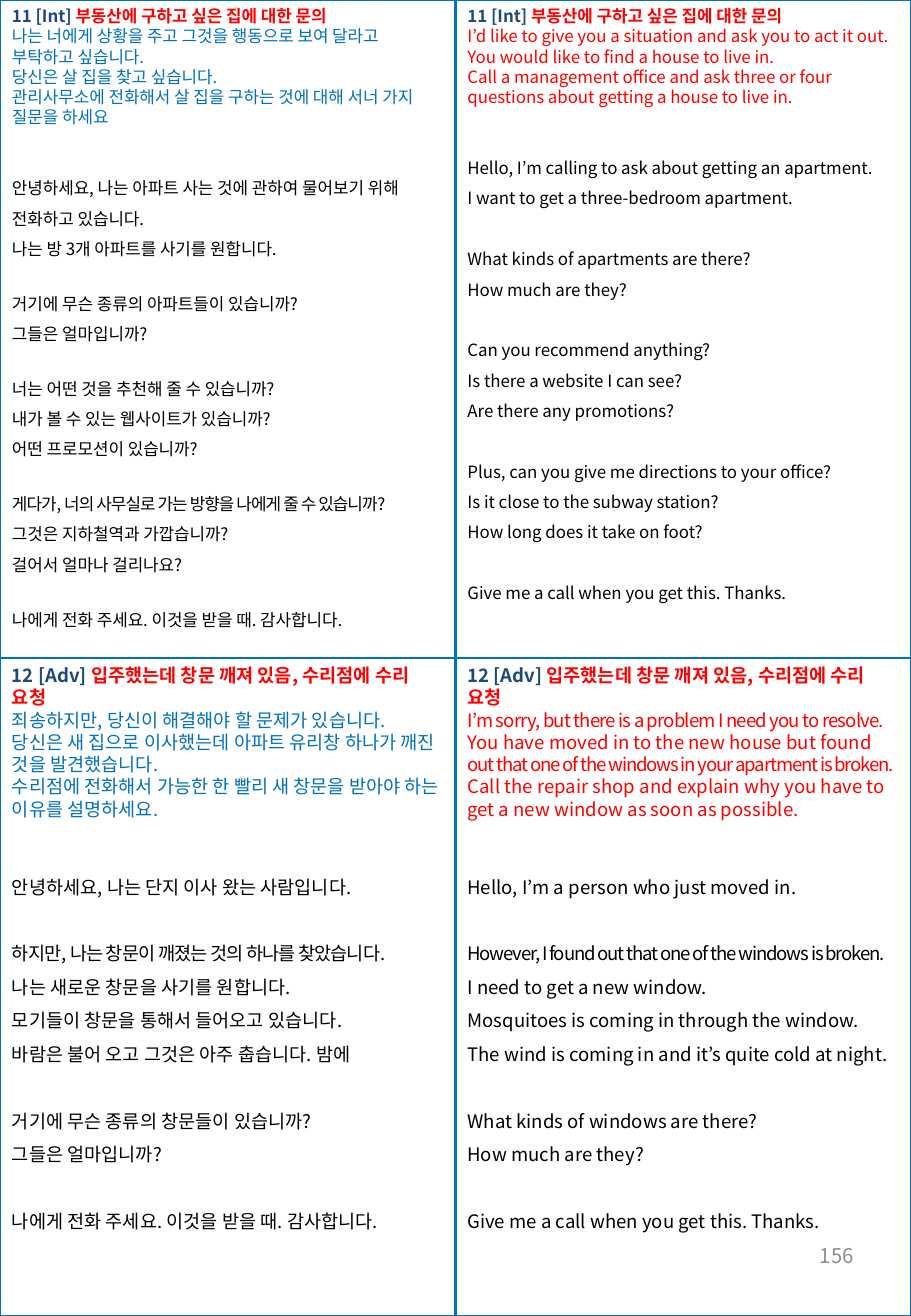
from lxml import etree
from pptx import Presentation
from pptx.dml.color import RGBColor
from pptx.enum.shapes import MSO_CONNECTOR, MSO_SHAPE
from pptx.enum.text import MSO_ANCHOR, PP_ALIGN
from pptx.oxml.ns import qn
from pptx.util import Pt

STRAIGHT = MSO_CONNECTOR.STRAIGHT
RECTANGLE = MSO_SHAPE.RECTANGLE
MIDDLE = MSO_ANCHOR.MIDDLE
RIGHT = PP_ALIGN.RIGHT

FONT = "Noto Sans CJK KR"
NAVY, RED, BLUE, BLACK, GREY = "1F497D", "FF0000", "0070C0", "000000", "8C8C8C"
WIDTH, HEIGHT = 540, 780
SINGLE, OPEN = 1.2, 1.8  # line pitch as a multiple of the font size

INTERMEDIATE = ("11 [Int] ", "부동산에 구하고 싶은 집에 대한 문의")
ADVANCED = ("12 [Adv] ", "입주했는데 창문 깨져 있음, 수리점에 수리 요청")

# A line is a string, or a list of (text, letter spacing) pieces.
PANELS = [
    dict(heading=INTERMEDIATE, size=10, prompt_color=BLUE, gap=14.4, prompt=[
        "나는 너에게 상황을 주고 그것을 행동으로 보여 달라고 부탁하고 싶습니다.",
        "당신은 살 집을 찾고 싶습니다.",
        "관리사무소에 전화해서 살 집을 구하는 것에 대해 서너 가지 질문을 하세요",
    ], answer=[
        ["안녕하세요, 나는 아파트 사는 것에 관하여 물어보기 위해 전화하고 있습니다.",
         "나는 방 3개 아파트를 사기를 원합니다."],
        ["거기에 무슨 종류의 아파트들이 있습니까?", "그들은 얼마입니까?"],
        ["너는 어떤 것을 추천해 줄 수 있습니까?",
         "내가 볼 수 있는 웹사이트가 있습니까?",
         "어떤 프로모션이 있습니까?"],
        [[("게다가, 너의 사무실로 가는 방향을 나에게 줄 수 있습니까?", -0.5)],
         "그것은 지하철역과 가깝습니까?",
         "걸어서 얼마나 걸리나요?"],
        ["나에게 전화 주세요. 이것을 받을 때. 감사합니다."],
    ]),
    dict(heading=INTERMEDIATE, size=10, prompt_color=RED, gap=18, prompt=[
        "I’d like to give you a situation and ask you to act it out.",
        "You would like to find a house to live in.",
        "Call a management office and ask three or four questions about "
        "getting a house to live in.",
    ], answer=[
        ["Hello, I’m calling to ask about getting an apartment.",
         "I want to get a three-bedroom apartment."],
        ["What kinds of apartments are there?", "How much are they?"],
        ["Can you recommend anything?",
         "Is there a website I can see?",
         "Are there any promotions?"],
        ["Plus, can you give me directions to your office?",
         "Is it close to the subway station?",
         "How long does it take on foot?"],
        ["Give me a call when you get this. Thanks."],
    ]),
    dict(heading=ADVANCED, size=11, prompt_color=BLUE, gap=19.8, prompt=[
        "죄송하지만, 당신이 해결해야 할 문제가 있습니다.",
        "당신은 새 집으로 이사했는데 아파트 유리창 하나가 깨진 것을 발견했습니다.",
        "수리점에 전화해서 가능한 한 빨리 새 창문을 받아야 하는 이유를 설명하세요.",
    ], answer=[
        ["안녕하세요, 나는 단지 이사 왔는 사람입니다."],
        [[("하지만, 나는 창문이 깨졌는 것의 하나를 찾았습니다.", -0.5)],
         "나는 새로운 창문을 사기를 원합니다.",
         "모기들이 창문을 통해서 들어오고 있습니다.",
         "바람은 불어 오고 그것은 아주 춥습니다. 밤에"],
        ["거기에 무슨 종류의 창문들이 있습니까?", "그들은 얼마입니까?"],
        ["나에게 전화 주세요. 이것을 받을 때. 감사합니다."],
    ]),
    dict(heading=ADVANCED, size=11, prompt_color=RED, gap=19.8, prompt=[
        [("I’m sorry, but there is a problem I need you to resolve.", -0.5)],
        [("You have moved in to the new house but found ", 0),
         ("out that one of the windows in your apartment is broken.", -0.7)],
        "Call the repair shop and explain why you have to get a new window "
        "as soon as possible.",
    ], answer=[
        ["Hello, I’m a person who just moved in."],
        [[("However, I found out that one of the windows is broken.", -0.7)],
         "I need to get a new window.",
         "Mosquitoes is coming in through the window.",
         "The wind is coming in and it’s quite cold at night."],
        ["What kinds of windows are there?", "How much are they?"],
        ["Give me a call when you get this. Thanks."],
    ]),
]


def color(hex_string):
    return RGBColor.from_string(hex_string)


def format_run(run, size, hex_string, bold=False, spacing=0):
    run.font.size = Pt(size)
    run.font.bold = bold
    run.font.color.rgb = color(hex_string)
    run.font.name = FONT
    properties = run._r.get_or_add_rPr()
    etree.SubElement(properties, qn("a:ea")).set("typeface", FONT)
    if spacing:
        properties.set("spc", str(round(spacing * 100)))


def add_text_frame(slide, left, top, width, height):
    box = slide.shapes.add_textbox(Pt(left), Pt(top), Pt(width), Pt(height))
    box.text_frame.word_wrap = True
    return box.text_frame


def add_line(text_frame, line, size, hex_string, pitch, space_before=0):
    paragraph = text_frame.add_paragraph()
    paragraph.line_spacing = Pt(size * pitch)
    paragraph.space_before = Pt(space_before)
    pieces = [(line, 0)] if isinstance(line, str) else line
    for text, spacing in pieces:
        run = paragraph.add_run()
        run.text = text
        format_run(run, size, hex_string, spacing=spacing)


def add_panel(slide, left, top, width, height, panel):
    text_frame = add_text_frame(slide, left, top, width, height)
    size = panel["size"]

    # Heading: level tag and topic
    heading = text_frame.paragraphs[0]
    heading.line_spacing = Pt(size * SINGLE)
    for text, hex_string in zip(panel["heading"], (NAVY, RED)):
        run = heading.add_run()
        run.text = text
        format_run(run, size, hex_string, bold=True)

    # Situation prompt
    for line in panel["prompt"]:
        add_line(text_frame, line, size, panel["prompt_color"], SINGLE)

    # Sample answer in blocks
    for block_index, block in enumerate(panel["answer"]):
        block_gap = panel["gap"] if block_index else 2 * size * SINGLE
        for line_index, line in enumerate(block):
            gap = 0 if line_index else block_gap
            add_line(text_frame, line, size, BLACK, OPEN, gap)


def add_grid(slide, left, top, width, height):
    # Dividers
    middle, center = top + height / 2, left + width / 2
    for ends in ((left, middle, left + width, middle),
                 (center, top, center, top + height)):
        divider = slide.shapes.add_connector(STRAIGHT, *map(Pt, ends))
        divider.line.color.rgb = color(BLUE)
        divider.line.width = Pt(1.5)
        etree.SubElement(divider._element.spPr, qn("a:effectLst"))

    # Outer frame
    frame = slide.shapes.add_shape(RECTANGLE, Pt(left), Pt(top), Pt(width), Pt(height))
    frame.shadow.inherit = False
    frame.fill.background()
    frame.line.color.rgb = color(BLUE)
    frame.line.width = Pt(1.5)


def add_page_number(slide, left, top, width, height):
    text_frame = add_text_frame(slide, left, top, width, height)
    text_frame.vertical_anchor = MIDDLE
    paragraph = text_frame.paragraphs[0]
    paragraph.text = "156"
    paragraph.alignment = RIGHT
    format_run(paragraph.runs[0], 12, GREY)


def main():
    presentation = Presentation()
    presentation.slide_width, presentation.slide_height = Pt(WIDTH), Pt(HEIGHT)
    slide = presentation.slides.add_slide(presentation.slide_layouts[6])

    add_grid(slide, 0, 0, WIDTH, HEIGHT)
    add_page_number(slide, 387, 723, 126, 42)
    panel_width, panel_height = WIDTH / 2, HEIGHT / 2
    for index, panel in enumerate(PANELS):
        row, column = divmod(index, 2)
        add_panel(slide, column * panel_width, row * panel_height,
                  panel_width, panel_height, panel)

    presentation.save("out.pptx")


if __name__ == "__main__":
    main()
